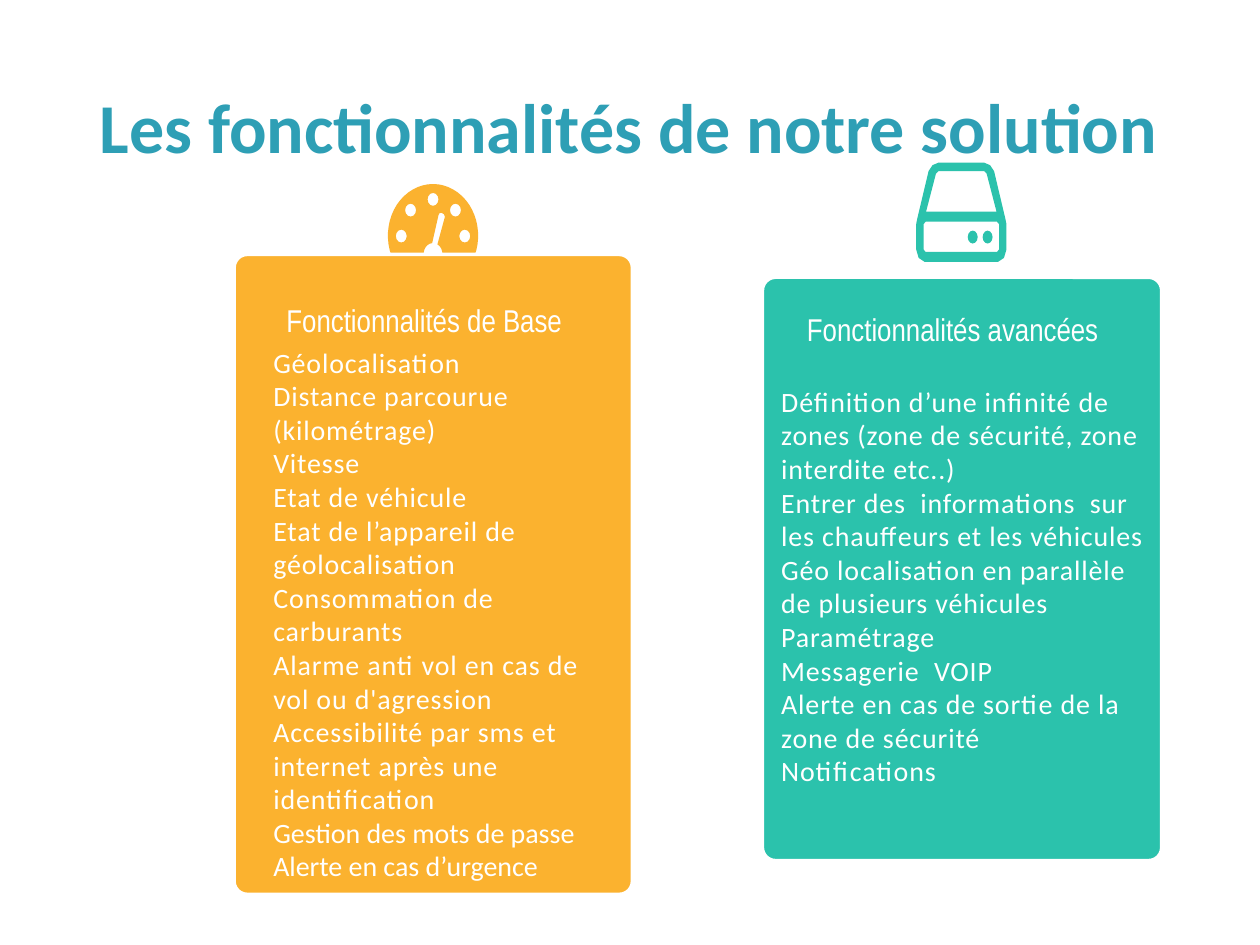
from math import cos, radians, sin
from pptx import Presentation
from pptx.dml.color import RGBColor
from pptx.enum.shapes import MSO_SHAPE
from pptx.enum.text import MSO_ANCHOR, PP_ALIGN
from pptx.util import Cm, Pt

BLUE = RGBColor(0x2E, 0x9F, 0xB5)
GOLD = RGBColor(0xFB, 0xB2, 0x2F)
TEAL = RGBColor(0x2B, 0xC2, 0xAC)
WHITE = RGBColor(0xFF, 0xFF, 0xFF)

TITLE = "Les fonctionnalités de notre solution"
BASE = [
    ("Géolocalisation", 50),
    ("Distance parcourue (kilométrage)", 50),
    ("Vitesse ", 50),
    ("Etat de véhicule ", 50),
    ("Etat de l’appareil de géolocalisation", 50),
    ("Consommation de carburants", 50),
    ("Alarme anti vol en cas de vol ou d'agression", 50),
    ("Accessibilité par sms et internet après une identification", 50),
    ("Gestion des mots de passe", 0),
    ("Alerte en cas d’urgence", 0),
]
EXTRA = [
    ("Définition d’une infinité de  zones (zone de sécurité, zone interdite etc..)", 50),
    ("Entrer des  informations  sur  les chauffeurs et les véhicules ", 50),
    ("Géo localisation en parallèle de plusieurs véhicules", 50),
    ("Paramétrage ", 50),
    ("Messagerie  VOIP", 50),
    ("Alerte en cas de sortie de la zone de sécurité", 50),
    ("Notifications", 50),
]
FRAME = [(0.46, 3.28), (0.58, 3.33), (0.66, 3.45), (0.89, 4.42),
         (0.91, 4.52), (0.91, 5.03), (0.86, 5.2), (0.74, 5.28)]
TRAY = [(0.72, 4.47), (0.76, 4.52), (0.76, 5.03), (0.72, 5.08)]
LID = [(0.46, 3.45), (0.51, 3.5), (0.71, 4.27)]
NEEDLE = [(8.84, 4.34), (8.86, 4.3), (8.9, 4.29), (8.95, 4.32), (8.97, 4.37)]

deck = Presentation()
deck.slide_width, deck.slide_height = Cm(25.4), Cm(19.05)
slide = deck.slides.add_slide(deck.slide_layouts[6])
shapes = slide.shapes


def arc(x, y, wide, high, start=0, end=360, step=12):
    turns = [radians(start + (end - start) * i / step) for i in range(step + 1)]
    return [(x + wide * cos(a), y + high * sin(a)) for a in turns]


def mirror(half, mid=19.38):
    return [(mid + x, y) for x, y in half] + [(mid - x, y) for x, y in reversed(half)]


def add_icon(loops, color):
    loops = [[(Cm(x), Cm(y)) for x, y in loop] for loop in loops]
    pen = shapes.build_freeform(*loops[0][0])
    for i, loop in enumerate(loops):
        if i:
            pen.move_to(*loop[0])
        pen.add_line_segments(loop[1:], close=True)
    icon = pen.convert_to_shape()
    icon.shadow.inherit = False
    icon.fill.solid()
    icon.fill.fore_color.rgb = color
    icon.line.fill.background()


def add_text(box, lines, size, font, color=WHITE, align=PP_ALIGN.LEFT,
             pad=(0, 0), wrap=True, bold=False):
    frame = shapes.add_textbox(*map(Cm, box)).text_frame
    frame.word_wrap = wrap
    frame.margin_left = frame.margin_right = Cm(pad[0])
    frame.margin_top = frame.margin_bottom = Cm(pad[1])
    frame.text = "\n".join(text for text, gap in lines)
    for para, (text, gap) in zip(frame.paragraphs, lines):
        para.alignment = align
        for run in para.runs:
            run.font.size, run.font.name, run.font.bold = Pt(size), font, bold
            run.font.color.rgb = color
            if gap:
                run.font._element.set("spc", str(gap))
    return frame


def add_card(box, color):
    card = shapes.add_shape(MSO_SHAPE.ROUNDED_RECTANGLE, *map(Cm, box))
    card.adjustments[0] = 0.033
    card.shadow.inherit = False
    card.fill.solid()
    card.fill.fore_color.rgb = color
    card.line.color.rgb = WHITE
    card.line.width = Pt(2)


def add_head(box, text, pad):
    add_text(box, [(text, 0)], 18, "Arial Narrow", align=PP_ALIGN.CENTER,
             pad=pad, wrap=False)


title = add_text((0.89, 1.52, 23.57, 2.01), [(TITLE, 0)], 40, "Calibri", BLUE,
                 PP_ALIGN.CENTER, (0.15, 0.15), bold=True)
title.vertical_anchor = MSO_ANCHOR.MIDDLE

dial = arc(8.73, 4.75, 0.91, 1.04, 137, 403, 40)
marks = [arc(x, y, 0.11, 0.13) for x, y in arc(8.73, 4.76, 0.64, 0.74, 180, 360, 4)]
hand = arc(8.73, 5.12, 0.19, 0.22, -62, 265, 20) + NEEDLE
add_icon([dial, *marks, hand], GOLD)

add_card((15.37, 5.59, 8.05, 11.76), TEAL)
add_head((15.57, 6.25, 7.42, 0.86), "Fonctionnalités avancées ", (0, 0))
lights = [arc(x, 4.78, 0.1, 0.13) for x in (19.61, 19.91)]
add_icon([mirror(FRAME), mirror(TRAY), mirror(LID), *lights], TEAL)
add_text((15.75, 7.75, 7.52, 9.25), EXTRA, 16, "Calibri")

add_card((4.72, 5.13, 8.03, 12.9), GOLD)
add_head((4.72, 5.94, 7.67, 1.02), "Fonctionnalités de Base", (0.25, 0.13))
add_text((5.26, 6.83, 6.96, 11.2), BASE, 16, "Calibri", pad=(0.25, 0.13))

deck.save("out.pptx")
